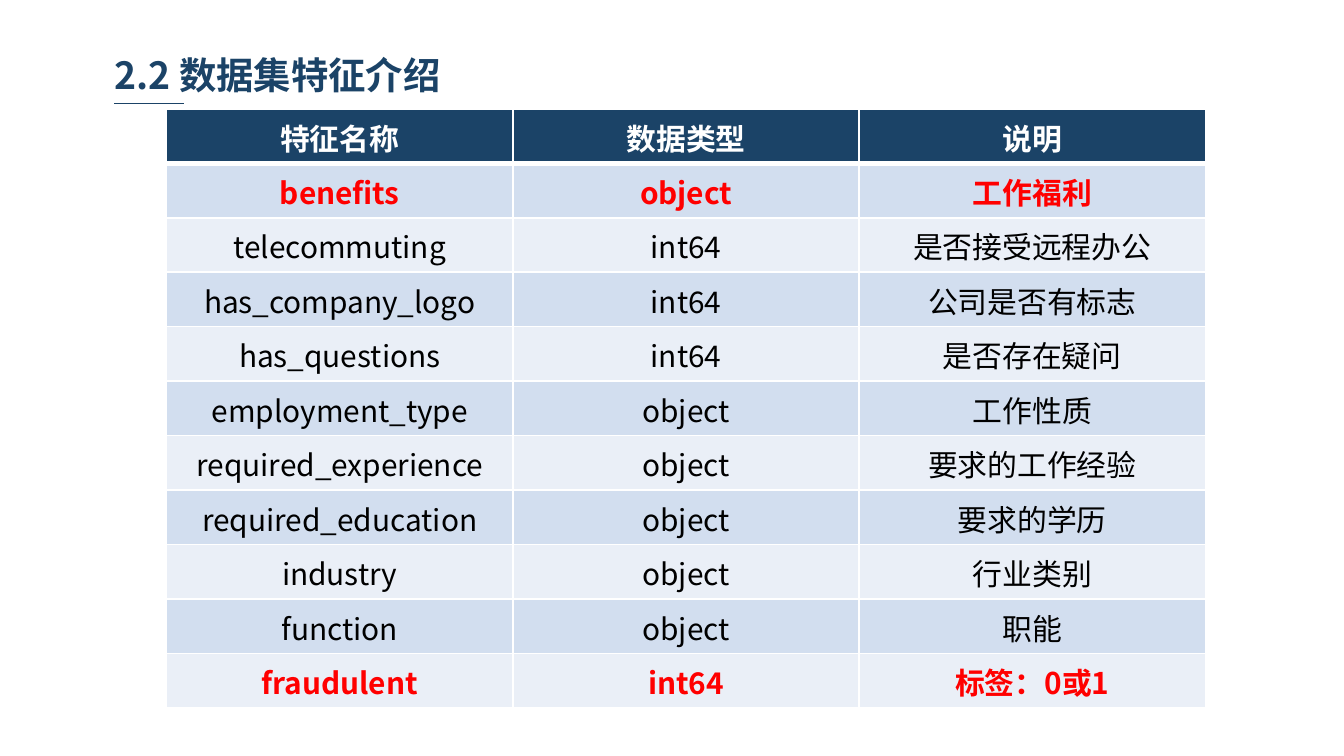
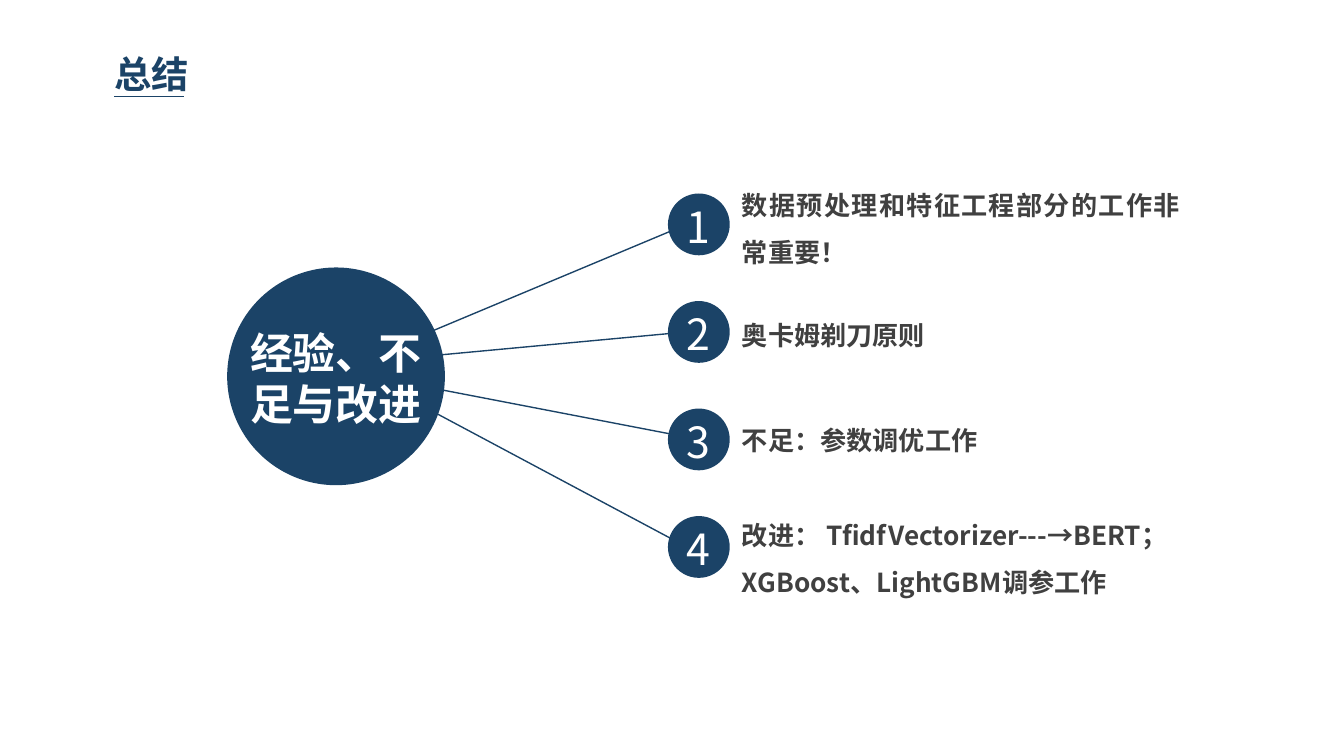
import pptx
import pptx.util
from lxml import etree
from pptx.dml.color import RGBColor
from pptx.enum.shapes import MSO_CONNECTOR, MSO_SHAPE
from pptx.enum.text import MSO_ANCHOR, MSO_AUTO_SIZE, PP_ALIGN
from pptx.oxml.ns import qn

NAVY = RGBColor(0x1B, 0x43, 0x67)
WHITE = RGBColor(0xFF, 0xFF, 0xFF)
BLACK = RGBColor(0x00, 0x00, 0x00)
RED = RGBColor(0xFF, 0x00, 0x00)
GREY = RGBColor(0x40, 0x40, 0x40)
BAND_DARK = RGBColor(0xD2, 0xDE, 0xEF)
BAND_LIGHT = RGBColor(0xEA, 0xEF, 0xF7)
FONT = "Noto Sans CJK SC"

prs = pptx.Presentation()
prs.slide_width = pptx.util.Inches(10)
prs.slide_height = pptx.util.Inches(5.625)
UNIT = prs.slide_width / 100


def grid(*cells):
    return [round(c * UNIT) for c in cells]


def write(tf, lines, size, color, bold=False, align=PP_ALIGN.LEFT, spacing=None, inset=None):
    frame = {"word_wrap": True, "vertical_anchor": MSO_ANCHOR.TOP, "auto_size": MSO_AUTO_SIZE.SHAPE_TO_FIT_TEXT}
    if inset:
        sides, ends = grid(*inset)
        frame.update(margin_left=sides, margin_right=sides, margin_top=ends, margin_bottom=ends)
    for name, value in frame.items():
        setattr(tf, name, value)
    for i, line in enumerate(lines):
        p = tf.add_paragraph() if i else tf.paragraphs[0]
        p.alignment = align
        p.line_spacing = spacing
        r = p.add_run()
        r.text = line
        for name, value in {"name": FONT, "size": pptx.util.Pt(size), "bold": bold}.items():
            setattr(r.font, name, value)
        r.font.color.rgb = color
        latin = r.font._element.find(qn("a:latin"))
        latin.addnext(latin.makeelement(qn("a:ea"), {"typeface": FONT}))


INSET = (0.7, 0.4)
titles = [("2.2 数据集特征介绍", 3.5, 28.8, 7.7), ("总结", 3.4, 24.7, 7.2)]
rules = []
for title, top, width, rule in titles:
    s = prs.slides.add_slide(prs.slide_layouts[5])
    sp = s.shapes.title
    sp.left, sp.top, sp.width, sp.height = grid(7.8, top, width, 4.1)
    write(sp.text_frame, [title], 20, NAVY, bold=True, inset=INSET)
    rules.append((s, 8.5, rule, 13.7, rule))
features, summary = prs.slides

rows = [
    ("特征名称", "数据类型", "说明"),
    ("benefits", "object", "工作福利"),
    ("telecommuting", "int64", "是否接受远程办公"),
    ("has_company_logo", "int64", "公司是否有标志"),
    ("has_questions", "int64", "是否存在疑问"),
    ("employment_type", "object", "工作性质"),
    ("required_experience", "object", "要求的工作经验"),
    ("required_education", "object", "要求的学历"),
    ("industry", "object", "行业类别"),
    ("function", "object", "职能"),
    ("fraudulent", "int64", "标签：0或1"),
]
table = features.shapes.add_table(len(rows), 3, *grid(12.4, 8.1, 77.3, 44.6)).table
for i, row in enumerate(rows):
    header, marked = i == 0, i in (1, len(rows) - 1)
    fill = NAVY if header else BAND_DARK if i % 2 else BAND_LIGHT
    color = WHITE if header else RED if marked else BLACK
    for j, text in enumerate(row):
        cell = table.cell(i, j)
        tcPr = cell._tc.get_or_add_tcPr()
        for side in "LRTB":
            thick = (i, side) in ((0, "B"), (1, "T"))
            ln = etree.SubElement(tcPr, qn(f"a:ln{side}"), w=str(pptx.util.Pt(3 if thick else 1)))
            paint = etree.SubElement(ln, qn("a:solidFill"))
            etree.SubElement(paint, qn("a:srgbClr"), val=str(WHITE))
        cell.fill.solid()
        cell.fill.fore_color.rgb = fill
        p = cell.text_frame.paragraphs[0]
        p.alignment = PP_ALIGN.CENTER
        r = p.add_run()
        r.text = text
        for name, value in {"name": FONT, "size": pptx.util.Pt(16), "bold": header or marked}.items():
            setattr(r.font, name, value)
        r.font.color.rgb = color
        latin = r.font._element.find(qn("a:latin"))
        latin.addnext(latin.makeelement(qn("a:ea"), {"typeface": FONT}))

spokes = [
    (summary, 26.5, 27, 51.1, 16.7),
    (summary, 26.4, 27, 51.1, 24.7),
    (summary, 27.1, 27.9, 52, 32.7),
    (summary, 27.1, 27.9, 51.1, 40.7),
]
for s, x1, y1, x2, y2 in rules + spokes:
    line = s.shapes.add_connector(MSO_CONNECTOR.STRAIGHT, *grid(x1, y1, x2, y2))
    line.line.color.rgb = NAVY
    line.line.width = pptx.util.Pt(0.75)
    etree.SubElement(line._element.spPr, qn("a:effectLst"))

points = [
    (12.5, 7.4, ["数据预处理和特征工程部分的工作非常重要！"]),
    (22.2, 3.9, ["奥卡姆剃刀原则"]),
    (30, 3.9, ["不足：参数调优工作"]),
    (37.1, 7.4, ["改进： TfidfVectorizer---→BERT；", "XGBoost、LightGBM调参工作"]),
]
badges = [(16.9, 19.9, 16.2, 23.8, 8.8, "经验、不足与改进", True)]
for i, (top, height, lines) in enumerate(points):
    y = 14.4 + 8 * i
    badges.append((49.7, y, 4.6, y, 4.9, str(i + 1), False))
    sp = summary.shapes.add_textbox(*grid(54.5, top, 34, height))
    write(sp.text_frame, lines, 14, GREY, bold=True, align=PP_ALIGN.JUSTIFY, spacing=1.5, inset=INSET)

for x, y, size, text_top, text_height, text, bold in badges:
    group = summary.shapes.add_group_shape()
    sp = group.shapes.add_shape(MSO_SHAPE.OVAL, *grid(x, y, size, size))
    sp.shadow.inherit = False
    sp.fill.solid()
    sp.fill.fore_color.rgb = NAVY
    sp.line.fill.background()
    sp = group.shapes.add_textbox(*grid(x, text_top, size, text_height))
    write(sp.text_frame, [text], 23, WHITE, bold=bold, align=PP_ALIGN.CENTER)

prs.save("out.pptx")
